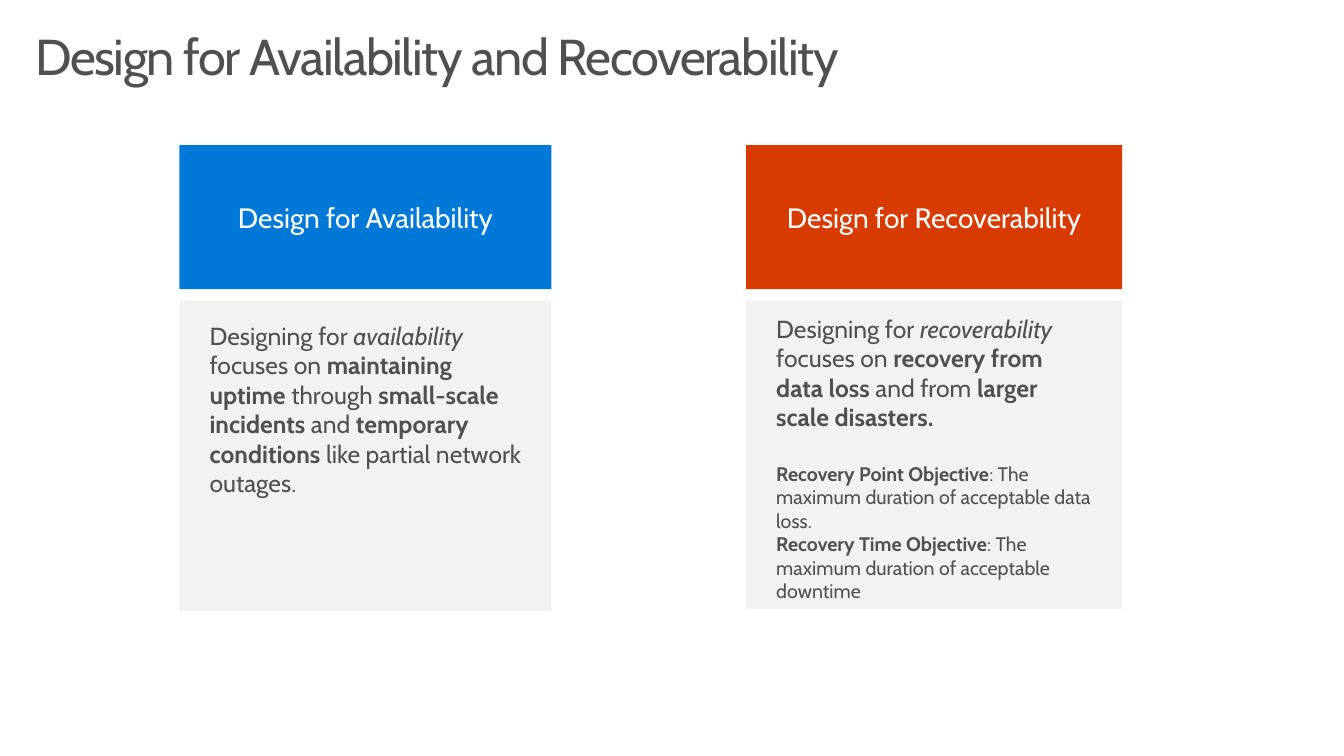
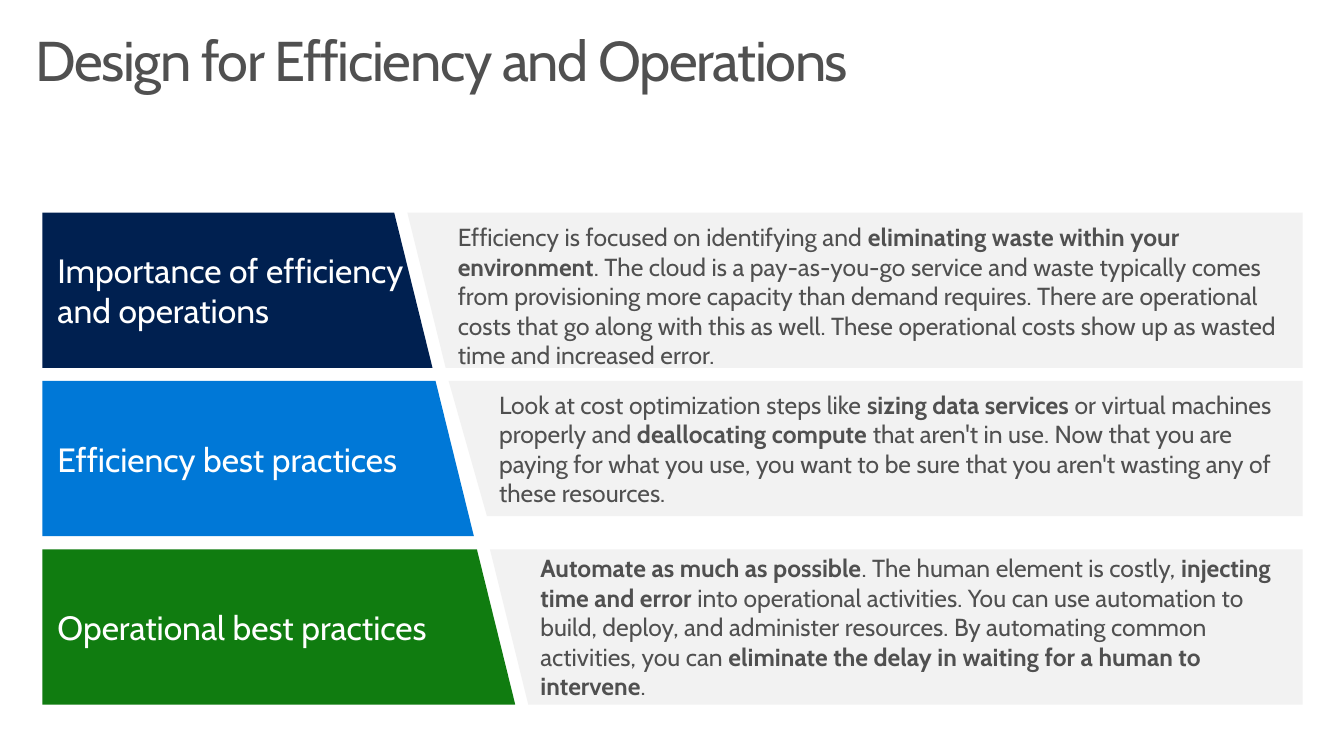
from pptx import Presentation
from pptx.dml.color import RGBColor
from pptx.enum.shapes import MSO_SHAPE
from pptx.enum.text import MSO_ANCHOR as ANCHOR, PP_ALIGN as ALIGN
from pptx.util import Inches, Pt

FONT = "Cabin"
TEXT = RGBColor(0x50, 0x50, 0x50)
WHITE = RGBColor(0xFF, 0xFF, 0xFF)
PANEL = RGBColor(0xF2, 0xF2, 0xF2)
BLUE = RGBColor(0x00, 0x78, 0xD7)
NAVY = RGBColor(0x00, 0x20, 0x50)
ORANGE = RGBColor(0xD8, 0x3B, 0x01)
GREEN = RGBColor(0x10, 0x7C, 0x10)
BODY = 17.6


class Deck:
    """Holds the shared style and the current slide."""

    def __init__(self):
        self.prs = Presentation()
        self.prs.slide_width = Inches(13.33)
        self.prs.slide_height = Inches(7.5)
        self.s = None

    def slide(self, title, size):
        self.s = self.prs.slides.add_slide(self.prs.slide_layouts[6])
        tf = self.textbox(0.25, 0.25, 12.79, 1, (0.1, 0, 0, 0))
        p = self.add_runs(tf.paragraphs[0], [(title, "")], size)
        p.runs[0]._r.get_or_add_rPr().set("spc", "-100")

    def frame(self, sp, insets, anchor):
        tf = sp.text_frame
        tf.word_wrap = True
        tf.vertical_anchor = anchor
        (tf.margin_left, tf.margin_top,
         tf.margin_right, tf.margin_bottom) = map(Inches, insets)
        return tf

    def add_runs(self, p, runs, size, color=TEXT, align=ALIGN.LEFT):
        """Add (text, style) runs; style is "b", "i" or empty."""
        p.alignment = align
        for text, style in runs:
            r = p.add_run()
            r.text = text
            r.font.name, r.font.size = FONT, Pt(size)
            r.font.color.rgb = color
            r.font.bold = style == "b"
            r.font.italic = style == "i"
        return p

    def textbox(self, x, y, w, h, insets=(0.1, 0.05, 0.1, 0.05)):
        sp = self.s.shapes.add_textbox(*map(Inches, (x, y, w, h)))
        return self.frame(sp, insets, ANCHOR.TOP)

    def paint(self, sp, fill):
        sp.shadow.inherit = False
        sp.fill.solid()
        sp.fill.fore_color.rgb = fill
        sp.line.fill.background()
        return sp

    def rect(self, x, y, w, h, fill):
        sp = self.s.shapes.add_shape(
            MSO_SHAPE.RECTANGLE, *map(Inches, (x, y, w, h)))
        return self.paint(sp, fill)

    def polygon(self, points, fill):
        start, *rest = [(Inches(x), Inches(y)) for x, y in points]
        fb = self.s.shapes.build_freeform(*start)
        fb.add_line_segments(rest, close=True)
        return self.paint(fb.convert_to_shape(), fill)

    def card(self, x, w, panel_h, text_y, text_h, fill, heading, paragraphs):
        """Coloured heading above a grey panel with its text."""
        self.rect(x, 2.98, w, panel_h, PANEL)
        tf = self.textbox(x + 0.2, text_y, 3.32, text_h)
        for i, (size, before, runs) in enumerate(paragraphs):
            p = tf.add_paragraph() if i else tf.paragraphs[0]
            if before:
                p.space_before = Pt(before)
            self.add_runs(p, runs, size)
        head = self.rect(x, 1.44, w, 1.43, fill)
        tf = self.frame(head, (0.1, 0.05, 0.1, 0.05), ANCHOR.MIDDLE)
        self.add_runs(tf.paragraphs[0], [(heading, "")], 20, WHITE,
                      ALIGN.CENTER)

    def band(self, row, fill, label, runs, panel_h=1.54, top_inset=0.1):
        """Slanted label and the grey panel that follows its edge."""
        left, right, height, slant, gap = 0.42, 12.92, 1.54, 0.38, 0.13
        y = 2.11 + row * (height + gap)
        edge = 3.91 + row * 0.41
        start = edge + gap
        panel = self.polygon(
            [(start, y), (right, y), (right, y + panel_h),
             (start + slant, y + panel_h)], PANEL)
        tf = self.frame(panel, (0.5, top_inset, 0.15, 0.1), ANCHOR.MIDDLE)
        self.add_runs(tf.paragraphs[0], runs, BODY)
        tag = self.polygon(
            [(left, y), (edge, y), (edge + slant, y + height),
             (left, y + height)], fill)
        tf = self.frame(tag, (0.15, 0.1, 0.15, 0.1), ANCHOR.MIDDLE)
        self.add_runs(tf.paragraphs[0], [(label, "")], 24, WHITE)


def main():
    deck = Deck()

    # Availability and recoverability cards
    deck.slide("Design for Availability and Recoverability", 36)
    deck.card(7.4, 3.73, 3.06, 3.06, 2.95, ORANGE, "Design for Recoverability", [
        (BODY, 0, [
            ("Designing for ", ""), ("recoverability", "i"),
            (" focuses on ", ""), ("recovery from data loss", "b"),
            (" and from ", ""), ("larger scale disasters.", "b")]),
        (14, 21.4, [
            ("Recovery Point Objective", "b"),
            (": The maximum duration of acceptable data loss.", "")]),
        (14, 0, [
            ("Recovery Time Objective", "b"),
            (": The maximum duration of acceptable downtime", "")]),
    ])
    deck.card(1.78, 3.69, 3.08, 3.13, 1.88, BLUE, "Design for Availability", [
        (BODY, 0, [
            ("Designing for ", ""), ("availability", "i"),
            (" focuses on ", ""), ("maintaining uptime", "b"),
            (" through ", ""), ("small-scale incidents", "b"),
            (" and ", ""), ("temporary conditions", "b"),
            (" like partial network outages.", "")]),
    ])

    # Efficiency and operations bands
    deck.slide("Design for Efficiency and Operations", 40)
    deck.band(0, NAVY, "Importance of efficiency and operations", [
        ("Efficiency is focused on identifying and ", ""),
        ("eliminating waste within your environment", "b"),
        (". The cloud is a pay-as-you-go service and waste typically comes "
         "from provisioning more capacity than demand requires. There are "
         "operational costs that go along with this as well. These "
         "operational costs show up as wasted time and increased error.", ""),
    ], top_inset=0.21)
    deck.band(1, BLUE, "Efficiency best practices", [
        ("Look at cost optimization steps like ", ""),
        ("sizing data services", "b"),
        (" or virtual machines properly and ", ""),
        ("deallocating compute", "b"),
        (" that aren't in use. Now that you are paying for what you use, you "
         "want to be sure that you aren't wasting any of these resources.", ""),
    ], panel_h=1.34)
    deck.band(2, GREEN, "Operational best practices", [
        ("Automate as much as possible", "b"),
        (". The human element is costly, ", ""),
        ("injecting time and error ", "b"),
        ("into operational activities. You can use automation to build, "
         "deploy, and administer resources. By automating common activities, "
         "you can ", ""),
        ("eliminate the delay in waiting for a human to intervene", "b"),
        (".", ""),
    ])

    deck.prs.save("out.pptx")


if __name__ == "__main__":
    main()
